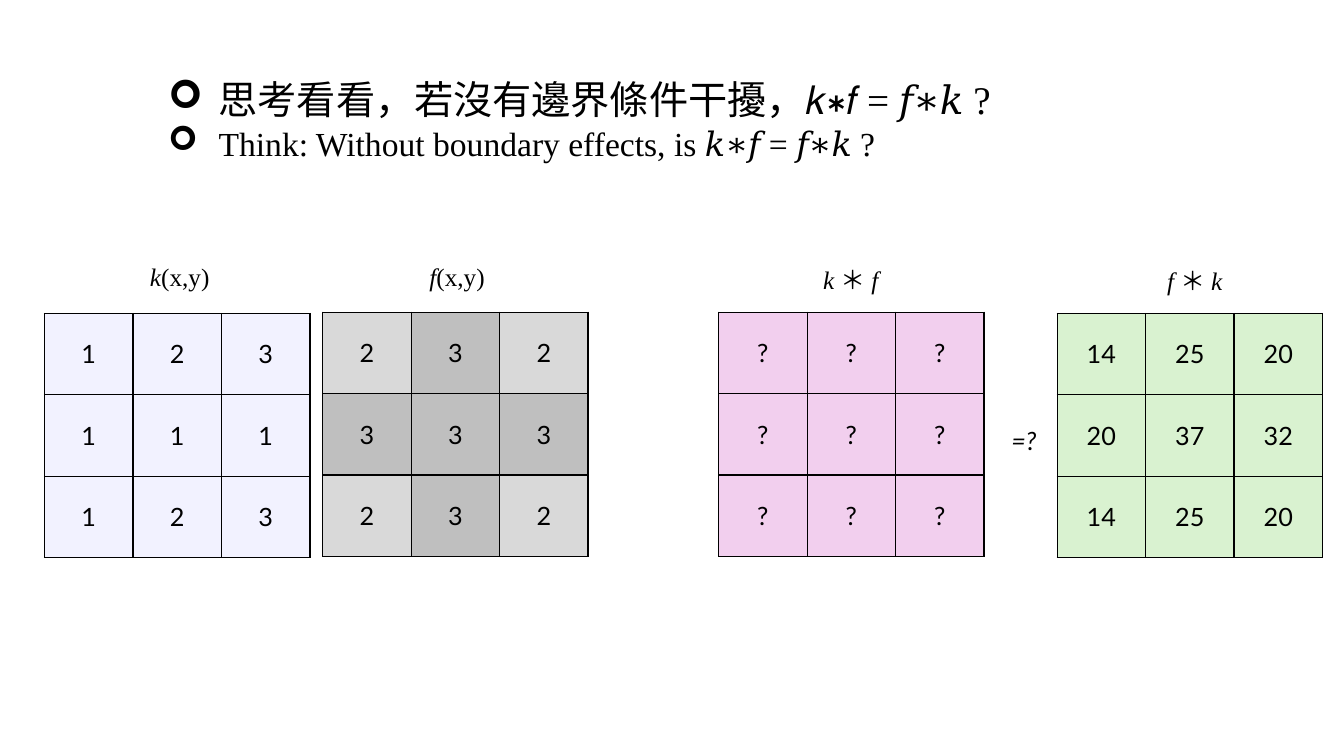
from dataclasses import dataclass

from lxml import etree
from pptx import Presentation
from pptx.dml.color import RGBColor
from pptx.enum.text import MSO_ANCHOR, PP_ALIGN
from pptx.oxml.ns import qn
from pptx.util import Cm, Pt

CENTER = PP_ALIGN.CENTER
MIDDLE = MSO_ANCHOR.MIDDLE
SERIF, SANS = "Times New Roman", "Lato"
COLORS = {
    "black": "000000",
    "kernel": "D5D5FF",
    "light gray": "D9D9D9",
    "dark gray": "BFBFBF",
    "pink": "F2CFEE",
    "green": "D9F2D0",
}
KERNEL_OPACITY = 30
COLUMN_WIDTH, ROW_HEIGHT = 2.23, 2.05
BORDER_SIDES = ("a:lnL", "a:lnR", "a:lnT", "a:lnB")


@dataclass
class Matrix:
    left: float
    top: float
    rows: list[str]
    fill: str
    opacity: int = 100
    accent_value: str = ""
    accent_fill: str = ""


@dataclass
class Label:
    left: float
    top: float
    width: float
    runs: list[tuple[str, bool]]  # text, italic
    font: str = SERIF


MATRICES = [
    Matrix(8.13, 7.87, ["2 3 2", "3 3 3", "2 3 2"], "light gray",
           accent_value="3", accent_fill="dark gray"),
    Matrix(1.12, 7.9, ["1 2 3", "1 1 1", "1 2 3"], "kernel", KERNEL_OPACITY),
    Matrix(18.11, 7.87, ["? ? ?"] * 3, "pink"),
    Matrix(26.64, 7.9, ["14 25 20", "20 37 32", "14 25 20"], "green"),
]
LABELS = [
    Label(10.34, 6.45, 2.36, [("f", True), ("(x,y)", False)]),
    Label(3.35, 6.45, 2.36, [("k", True), ("(x,y)", False)]),
    Label(18.19, 6.53, 6.5, [("k ", True), ("＊ ", False), ("f", True)]),
    Label(28.93, 6.55, 2.36, [("f ", True), ("＊ ", False), ("k", True)]),
    Label(25.22, 10.59, 1.17, [("=?", True)], SANS),
]
QUESTIONS = [
    ("思考看看，若沒有邊界條件干擾，𝑘∗𝑓 = 𝑓∗𝑘 ?", 28),
    ("Think: Without boundary effects, is 𝑘∗𝑓 = 𝑓∗𝑘 ?", 24),
]


def set_format(font, name: str, size: int, italic: bool = False) -> None:
    values = {"name": name, "size": Pt(size), "italic": italic}
    for attribute, value in values.items():
        setattr(font, attribute, value)
    font.color.rgb = RGBColor.from_string(COLORS["black"])


def add_color(parent, color: str):
    fill = etree.SubElement(parent, qn("a:solidFill"))
    return etree.SubElement(fill, qn("a:srgbClr"), val=COLORS[color])


def add_questions(slide) -> None:
    shape = slide.shapes.add_textbox(Cm(3.99), Cm(1.78), Cm(26.44), Cm(2.49))
    frame = shape.text_frame
    frame.word_wrap = True
    for index, (text, size) in enumerate(QUESTIONS):
        paragraph = frame.add_paragraph() if index else frame.paragraphs[0]
        properties = paragraph._p.get_or_add_pPr()
        properties.set("marL", str(Cm(1.27)))
        properties.set("indent", str(Cm(-1.27)))
        etree.SubElement(properties, qn("a:buFont"), typeface="Wingdings")
        etree.SubElement(properties, qn("a:buChar"), char="➢")
        run = paragraph.add_run()
        run.text = text
        set_format(run.font, SERIF, size)


def format_cell(cell, value: str, matrix: Matrix) -> None:
    cell.text = value
    cell.vertical_anchor = MIDDLE
    paragraph = cell.text_frame.paragraphs[0]
    paragraph.alignment = CENTER
    set_format(paragraph.runs[0].font, SANS, 18)
    # Borders come before the fill in the cell properties
    properties = cell._tc.get_or_add_tcPr()
    for side in BORDER_SIDES:
        add_color(etree.SubElement(properties, qn(side), w=str(Pt(1))), "black")
    accented = value == matrix.accent_value
    color = add_color(properties, matrix.accent_fill if accented else matrix.fill)
    if matrix.opacity < 100:
        etree.SubElement(color, qn("a:alpha"), val=str(matrix.opacity * 1000))


def add_matrix(slide, matrix: Matrix) -> None:
    rows = [row.split() for row in matrix.rows]
    row_count, column_count = len(rows), len(rows[0])
    table = slide.shapes.add_table(
        row_count, column_count, Cm(matrix.left), Cm(matrix.top),
        Cm(COLUMN_WIDTH * column_count), Cm(ROW_HEIGHT * row_count)).table
    table.first_row = table.horz_banding = False
    for row_index, row in enumerate(rows):
        for column_index, value in enumerate(row):
            format_cell(table.cell(row_index, column_index), value, matrix)


def add_label(slide, label: Label) -> None:
    shape = slide.shapes.add_textbox(
        Cm(label.left), Cm(label.top), Cm(label.width), Cm(1.02))
    shape.text_frame.word_wrap = False
    paragraph = shape.text_frame.paragraphs[0]
    paragraph.alignment = CENTER
    for text, italic in label.runs:
        run = paragraph.add_run()
        run.text = text
        set_format(run.font, label.font, 18, italic)


def main() -> None:
    presentation = Presentation()
    presentation.slide_width, presentation.slide_height = Cm(33.87), Cm(19.05)
    slide = presentation.slides.add_slide(presentation.slide_layouts[6])
    # Questions at the top
    add_questions(slide)
    # Matrices with their labels
    for matrix in MATRICES:
        add_matrix(slide, matrix)
    for label in LABELS:
        add_label(slide, label)
    presentation.save("out.pptx")


if __name__ == "__main__":
    main()
